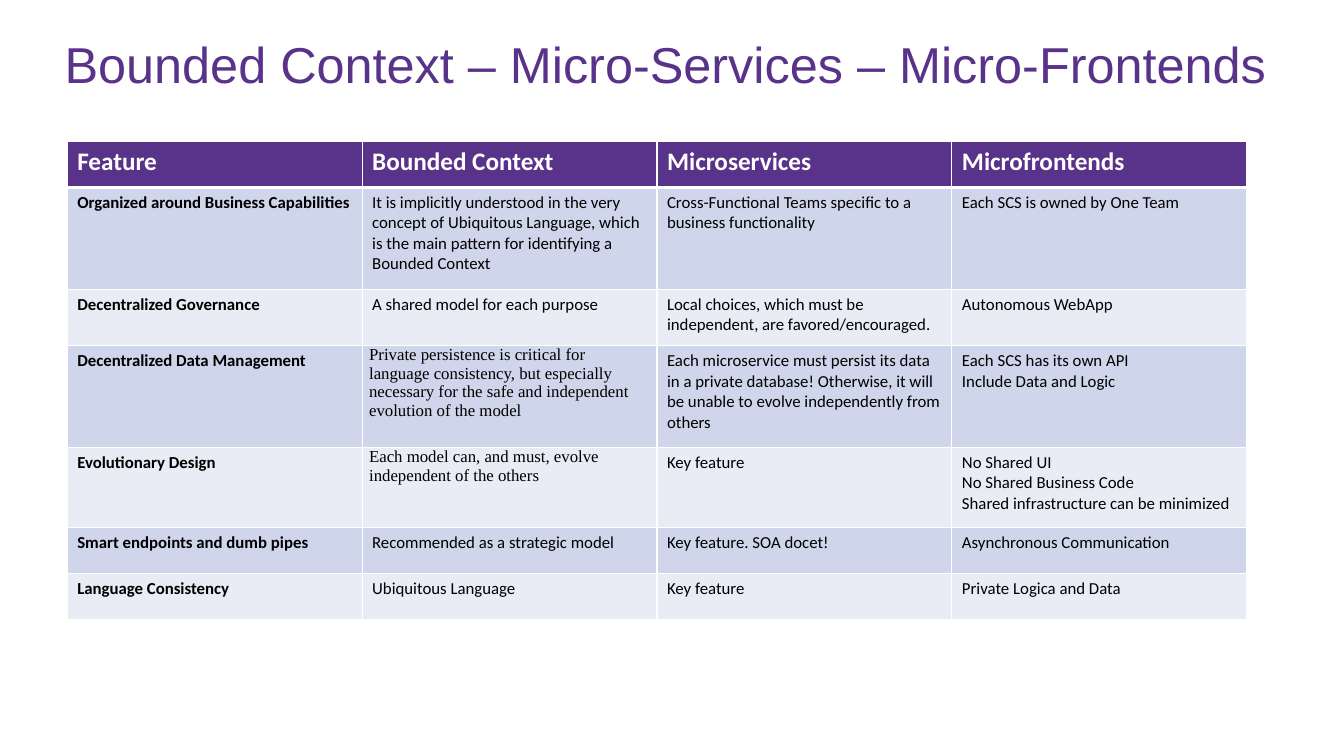
from lxml.etree import SubElement
from pptx import Presentation
from pptx.dml.color import RGBColor as RGB
from pptx.enum.text import MSO_ANCHOR as ANCHOR, PP_ALIGN as ALIGN
from pptx.oxml.ns import qn
from pptx.util import Inches, Pt

WIDTH, HEIGHT = 13.33, 7.5
PURPLE, WHITE, BLACK = "59328A", "FFFFFF", "000000"
BANDS = ("E9EBF5", "CFD5EA")
ROW_HEIGHTS = (0.46, 1.01, 0.56, 1.01, 0.79, 0.46, 0.46)
TITLE = {"name": "Arial", "size": Pt(36), "bold": False}
HEADER = {"name": "Calibri", "size": Pt(18), "bold": True}
FEATURE = {"name": "Calibri", "size": Pt(12), "bold": True}
BODY = {"name": "Calibri", "size": Pt(12), "bold": False}
SERIF = {"name": "Times New Roman", "size": Pt(12), "bold": False}
TIGHT = {"margin_left": Inches(0.07), "margin_right": Inches(0.07),
         "margin_top": 0, "margin_bottom": 0}
SERIF_CELLS = {(3, 1), (4, 1)}
ROWS = (
    ("Feature", "Bounded Context", "Microservices", "Microfrontends"),
    ("Organized around Business Capabilities",
     "It is implicitly understood in the very concept of Ubiquitous Language, "
     "which is the main pattern for identifying a Bounded Context",
     "Cross-Functional Teams specific to a business functionality",
     "Each SCS is owned by One Team"),
    ("Decentralized Governance",
     "A shared model for each purpose",
     "Local choices, which must be independent, are favored/encouraged.",
     "Autonomous WebApp"),
    ("Decentralized Data Management",
     "Private persistence is critical for language consistency, but especially "
     "necessary for the safe and independent evolution of the model",
     "Each microservice must persist its data in a private database! "
     "Otherwise, it will be unable to evolve independently from others",
     "Each SCS has its own API\nInclude Data and Logic"),
    ("Evolutionary Design",
     "Each model can, and must, evolve independent of the others",
     "Key feature",
     "No Shared UI\nNo Shared Business Code\nShared infrastructure can be minimized"),
    ("Smart endpoints and dumb pipes", "Recommended as a strategic model",
     "Key feature. SOA docet!", "Asynchronous Communication"),
    ("Language Consistency", "Ubiquitous Language", "Key feature",
     "Private Logica and Data"),
)


def color(value):
    """Turn a hex string into a colour."""
    return RGB.from_string(value)


def apply(target, values):
    """Set each named attribute on the target."""
    for name, value in values.items():
        setattr(target, name, value)


def write(tf, text, style, ink):
    """Fill a text frame, one paragraph per line, in one style."""
    tf.text = text
    for p in tf.paragraphs:
        for r in p.runs:
            apply(r.font, style)
            r.font.color.rgb = color(ink)


def add_borders(cell, widths):
    """Draw white borders; widths maps each side to points."""
    props = cell._tc.get_or_add_tcPr()
    for index, (side, width) in enumerate(widths.items()):
        ln = props.makeelement(qn(f"a:ln{side}"), {"w": str(Pt(width))})
        fill = SubElement(ln, qn("a:solidFill"))
        SubElement(fill, qn("a:srgbClr"), val=WHITE)
        props.insert(index, ln)


def add_title(s, text):
    """Place and format the title placeholder."""
    sp = s.shapes.title
    apply(sp, {"left": Inches(0.54), "top": Inches(0.16),
               "width": Inches(WIDTH * 0.92), "height": Inches(1.01)})
    write(sp.text_frame, text, TITLE, PURPLE)
    apply(sp.text_frame, {"vertical_anchor": ANCHOR.MIDDLE, "word_wrap": True})
    apply(sp.text_frame.paragraphs[0],
          {"alignment": ALIGN.LEFT, "line_spacing": 0.9})


def format_cell(cell, row, col, text):
    """Write one cell with the look of its row and column."""
    header = row == 0
    serif = (row, col) in SERIF_CELLS
    style = HEADER if header else SERIF if serif else BODY if col else FEATURE
    write(cell.text_frame, text, style, WHITE if header else BLACK)
    cell.fill.solid()
    cell.fill.fore_color.rgb = color(PURPLE if header else BANDS[row % 2])
    add_borders(cell, {"L": 1, "R": 1, "T": 3 if row == 1 else 1,
                       "B": 3 if header else 1})
    if serif:
        apply(cell, TIGHT)


def add_comparison(s):
    """Add the table comparing the three styles by feature."""
    count = len(ROWS[0])
    width = Inches(11.7)
    table = s.shapes.add_table(
        len(ROWS), count, Inches(WIDTH * 0.05), Inches(1.4),
        width, Inches(sum(ROW_HEIGHTS))).table
    for column in table.columns:
        column.width = width // count
    for row, texts in enumerate(ROWS):
        table.rows[row].height = Inches(ROW_HEIGHTS[row])
        for col, text in enumerate(texts):
            format_cell(table.cell(row, col), row, col, text)


def main():
    """Build the slide and save it."""
    prs = Presentation()
    prs.slide_width, prs.slide_height = Inches(WIDTH), Inches(HEIGHT)
    s = prs.slides.add_slide(prs.slide_layouts[5])
    add_title(s, "Bounded Context – Micro-Services – Micro-Frontends")
    add_comparison(s)
    prs.save("out.pptx")


if __name__ == "__main__":
    main()
